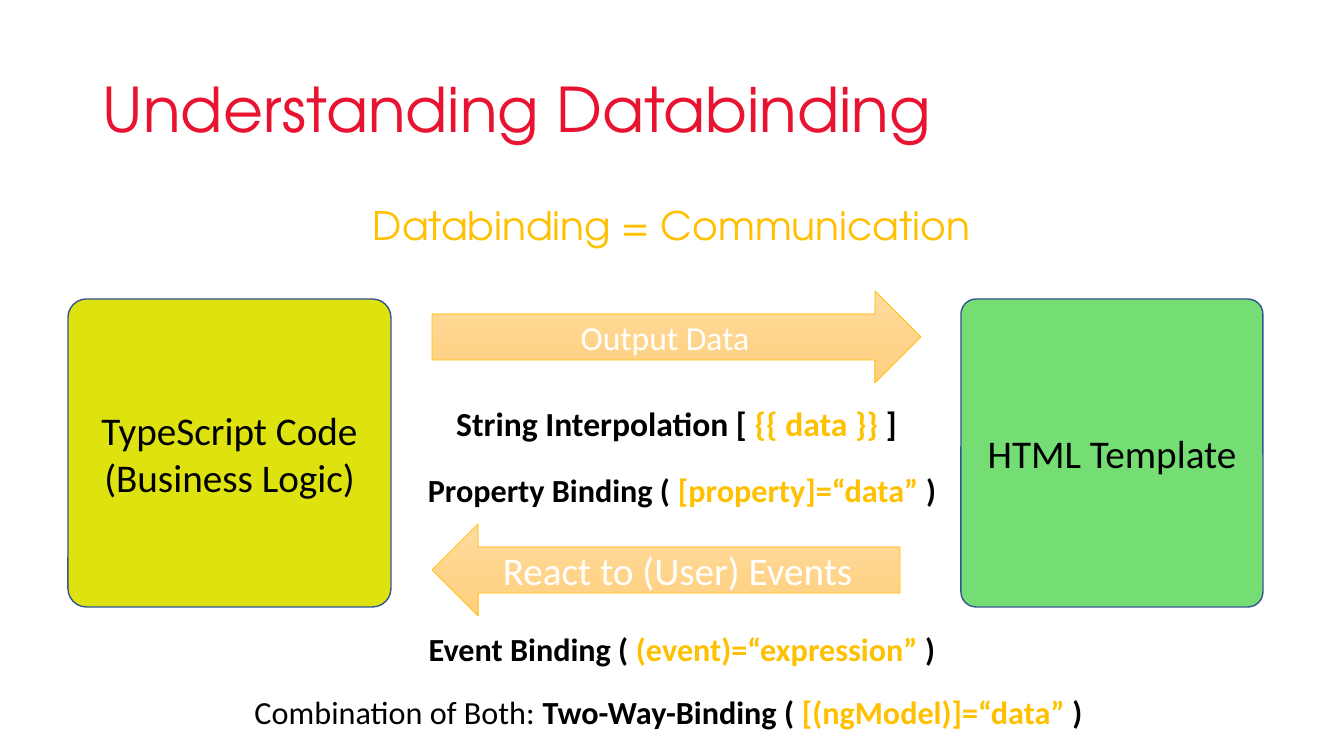
"""Build the slide that explains databinding between code and template."""
from pptx import Presentation
from pptx import util as u
from pptx.dml.color import RGBColor
from pptx.enum import shapes, text

PIXEL = 914400 / 100.8
BLACK, WHITE, RED, GOLD = "000000", "FFFFFF", "E81231", "FFC000"
HEADING_FONT, BODY_FONT = "TeX Gyre Adventor", "Calibri"


def color(value):
    return RGBColor.from_string(value)


def write(shape, pieces, size, font=BODY_FONT, anchor=text.MSO_ANCHOR.MIDDLE):
    frame = shape.text_frame
    frame.word_wrap = True
    frame.auto_size = text.MSO_AUTO_SIZE.NONE
    frame.vertical_anchor = anchor
    paragraph = frame.paragraphs[0]
    paragraph.alignment = text.PP_ALIGN.CENTER
    for wording, fill, bold in pieces:
        run = paragraph.add_run()
        run.text = wording
        run.font.name = font
        run.font.size = u.Pt(size)
        run.font.bold = bold
        run.font.color.rgb = color(fill)
    return paragraph


presentation = Presentation()
presentation.slide_width = u.Emu(round(1344 * PIXEL))
presentation.slide_height = u.Emu(round(756 * PIXEL))
slide = presentation.slides.add_slide(presentation.slide_layouts[5])

title = slide.shapes.title
title.left, title.top, title.width, title.height = [
    round(length * PIXEL) for length in (92, 40, 1159, 146)]
heading = write(title, [("Understanding Databinding", RED, False)], 44, HEADING_FONT)
heading.alignment = text.PP_ALIGN.LEFT
heading.line_spacing = 0.9

box = [round(length * PIXEL) for length in (92, 202, 1159, 480)]
subtitle = slide.shapes.add_textbox(*box)
statement = write(subtitle, [("Databinding = Communication", GOLD, False)], 28,
                  HEADING_FONT, text.MSO_ANCHOR.TOP)
statement.line_spacing = 0.9
statement.space_before = u.Pt(10)

blocks = [
    ("TypeScript Code (Business Logic)", 68, 323, 0.06, "DEE30F"),
    ("HTML Template", 961, 302, 0.05, "74DE74"),
]
for label, left, width, rounding, fill in blocks:
    box = [round(length * PIXEL) for length in (left, 299, width, 308)]
    block = slide.shapes.add_shape(shapes.MSO_SHAPE.ROUNDED_RECTANGLE, *box)
    block.adjustments[0] = rounding
    block.shadow.inherit = False
    block.fill.solid()
    block.fill.fore_color.rgb = color(fill)
    block.line.color.rgb = color("325491")
    block.line.width = u.Pt(1)
    write(block, [(label, BLACK, False)], 28)

arrows = [
    ("Output Data", shapes.MSO_SHAPE.RIGHT_ARROW, 291, 489, 24),
    ("React to (User) Events", shapes.MSO_SHAPE.LEFT_ARROW, 524, 468, 28),
]
for label, kind, top, width, size in arrows:
    box = [round(length * PIXEL) for length in (432, top, width, 92)]
    arrow = slide.shapes.add_shape(kind, *box)
    arrow.shadow.inherit = False
    arrow.fill.gradient()
    arrow.fill.gradient_angle = 270
    for stop, shade in zip(arrow.fill.gradient_stops, ("FFDB9E", "FFD07C")):
        stop.color.rgb = color(shade)
    arrow.line.color.rgb = color(GOLD)
    arrow.line.width = u.Pt(0.5)
    write(arrow, [(label, WHITE, False)], size)

bindings = [
    ("", "String Interpolation [ ", "{{ data }} ", "]", (432, 398, 489, 51), 24),
    ("", "Property Binding ( ", "[property]=“data” ", ")", (415, 463, 534, 53), 23),
    ("", "Event Binding ( ", "(event)=“expression” ", ")", (415, 622, 534, 53), 23),
    ("Combination of Both: ", "Two-Way-Binding ( ", "[(ngModel)]=“data” ", ")",
     (176, 685, 985, 53), 23),
]
for intro, name, syntax, closing, place, size in bindings:
    box = [round(length * PIXEL) for length in place]
    binding = slide.shapes.add_textbox(*box)
    pieces = [(intro, BLACK, False)] if intro else []
    pieces += [(name, BLACK, True), (syntax, GOLD, True), (closing, BLACK, True)]
    write(binding, pieces, size)

presentation.save("out.pptx")
